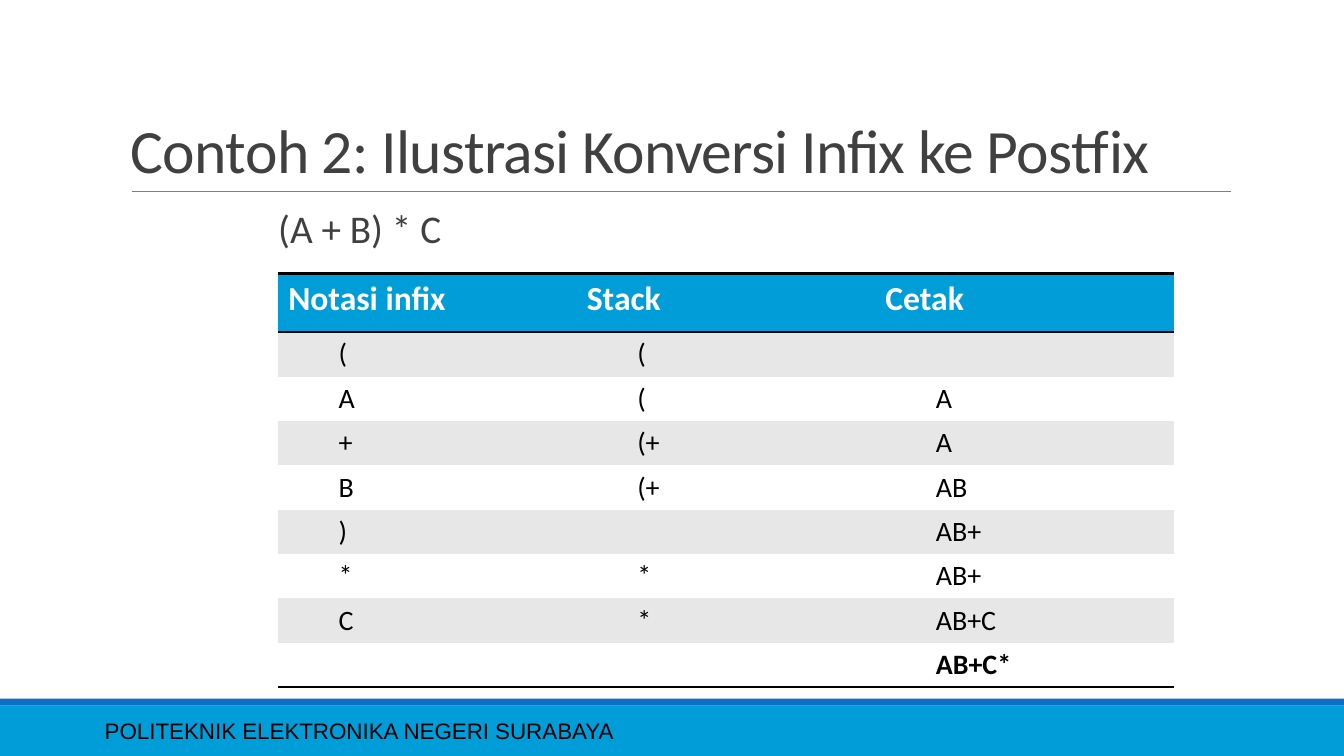
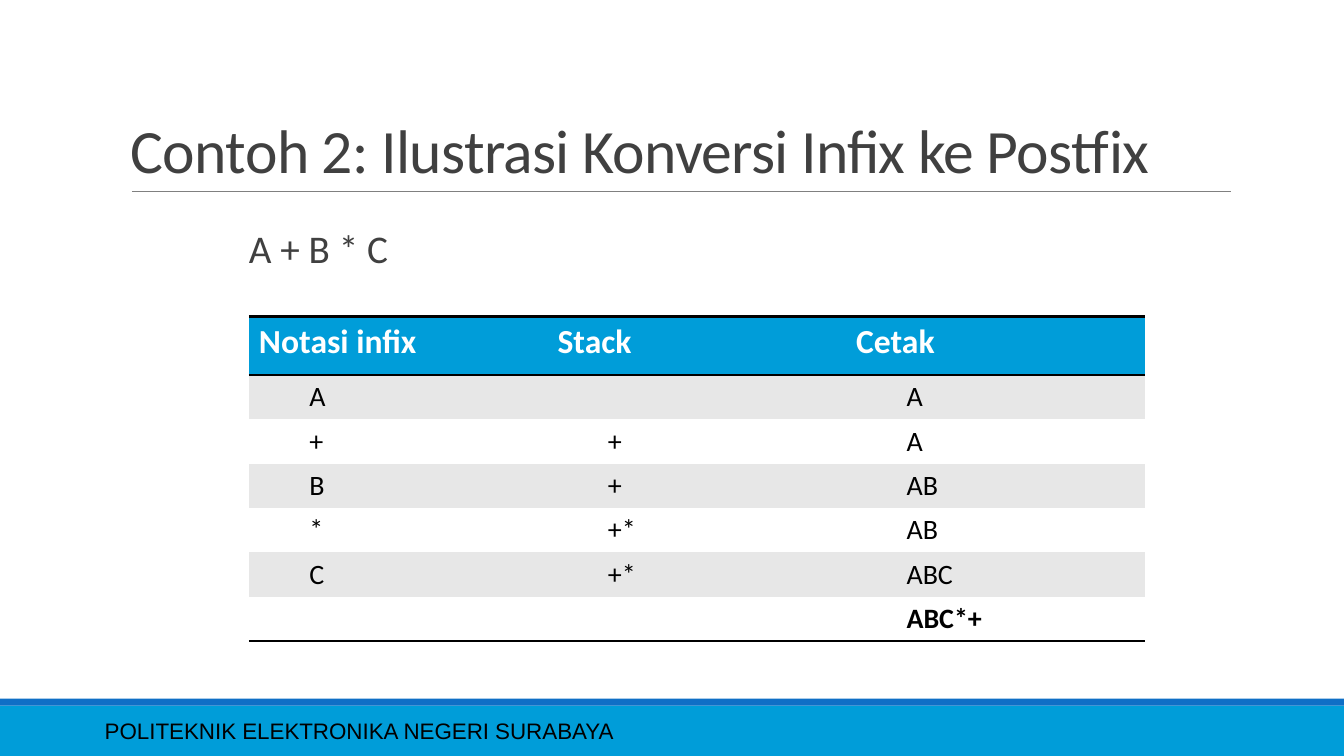
from lxml.etree import SubElement
from pptx import Presentation
from pptx.dml.color import RGBColor
from pptx.enum.shapes import MSO_CONNECTOR, MSO_SHAPE
from pptx.enum.text import MSO_ANCHOR
from pptx.oxml.ns import qn
from pptx.util import Pt

# Content
TITLE = "Contoh 2: Ilustrasi Konversi Infix ke Postfix"
FOOTER = "POLITEKNIK ELEKTRONIKA NEGERI SURABAYA"
HEADINGS = ("Notasi infix", "Stack", "Cetak")
EXAMPLES = [
    {
        "expression": "(A + B) * C",
        "left": 198.7, "expression_top": 149, "table_top": 195.5,
        "steps": [
            ("(", "(", ""),
            ("A", "(", "A"),
            ("+", "(+", "A"),
            ("B", "(+", "AB"),
            (")", "", "AB+"),
            ("*", "*", "AB+"),
            ("C", "*", "AB+C"),
            ("", "", "AB+C*"),
        ],
    },
    {
        "expression": "A + B * C",
        "left": 177.8, "expression_top": 163.4, "table_top": 226,
        "steps": [
            ("A", "", "A"),
            ("+", "+", "A"),
            ("B", "+", "AB"),
            ("*", "+*", "AB"),
            ("C", "+*", "ABC"),
            ("", "", "ABC*+"),
        ],
    },
]

# Shared style
WIDTH, HEIGHT = 960, 540
CYAN, BLUE, GRAY, DARK = "009DD9", "0F6FC6", "808080", "404040"
BLACK, WHITE, STRIPE = "000000", "FFFFFF", "E7E7E7"
BANDS = [(504, 36, CYAN), (499, 5, BLUE)]
COLUMN_WIDTH, HEADER_HEIGHT, STEP_HEIGHT = 213.3, 41.8, 31.7
CELL_MARGIN, STEP_INDENT = 7.2, 36
PLAIN_TABLE = "{2D5ABB26-0587-4C30-8999-92F81FD0307C}"


def color(value):
    return RGBColor.from_string(value)


def style_run(run, size, ink, font="Calibri", bold=False):
    run.font.size, run.font.name, run.font.bold = Pt(size), font, bold
    run.font.color.rgb = color(ink)


def add_text(slide, text, box, size, ink, font="Calibri", anchor=MSO_ANCHOR.TOP):
    frame = slide.shapes.add_textbox(*map(Pt, box)).text_frame
    frame.word_wrap = True
    frame.vertical_anchor = anchor
    frame.text = text
    style_run(frame.paragraphs[0].runs[0], size, ink, font)
    return frame


def add_frame(slide):
    # Bottom bands, title rule, footer and title
    for top, height, fill in BANDS:
        band = slide.shapes.add_shape(
            MSO_SHAPE.RECTANGLE, 0, Pt(top), Pt(WIDTH), Pt(height))
        band.shadow.inherit = False
        band.fill.solid()
        band.fill.fore_color.rgb = color(fill)
        band.line.fill.background()
    rule = slide.shapes.add_connector(
        MSO_CONNECTOR.STRAIGHT, Pt(94.3), Pt(136.8), Pt(879), Pt(136.8))
    rule.line.color.rgb = color(GRAY)
    rule.line.width = Pt(0.5)
    SubElement(rule._element.spPr, qn("a:effectLst"))
    add_text(slide, FOOTER, (67.7, 507.6, 605.5, 28.8), 16, BLACK, "Arial",
             MSO_ANCHOR.MIDDLE)
    title = add_text(slide, TITLE, (86.4, 22.3, 792, 114.5), 44, DARK,
                     anchor=MSO_ANCHOR.BOTTOM).paragraphs[0]
    title.line_spacing = 0.85
    title.runs[0].font._element.set("spc", "-50")


def add_border(cell, side):
    line = SubElement(cell._tc.get_or_add_tcPr(), qn(f"a:{side}"), w=str(Pt(2)))
    fill = SubElement(line, qn("a:solidFill"))
    SubElement(fill, qn("a:srgbClr"), val=BLACK)


def add_steps(slide, left, top, steps):
    rows = [HEADINGS, *steps]
    last = len(rows) - 1
    table_frame = slide.shapes.add_table(
        len(rows), len(HEADINGS), Pt(left), Pt(top),
        Pt(COLUMN_WIDTH * len(HEADINGS)), Pt(HEADER_HEIGHT + STEP_HEIGHT * last))
    table = table_frame.table
    table._tbl.tblPr.find(qn("a:tableStyleId")).text = PLAIN_TABLE
    for column in table.columns:
        column.width = Pt(COLUMN_WIDTH)
    for r, row in enumerate(rows):
        header = r == 0
        table.rows[r].height = Pt(HEADER_HEIGHT if header else STEP_HEIGHT)
        for c, text in enumerate(row):
            cell = table.cell(r, c)
            # Rules above and below the header, and below the result
            if header:
                add_border(cell, "lnT")
            if r in (0, last):
                add_border(cell, "lnB")
            cell.fill.solid()
            cell.fill.fore_color.rgb = color(
                CYAN if header else STRIPE if r % 2 else WHITE)
            cell.margin_left = Pt(CELL_MARGIN + (0 if header else STEP_INDENT))
            cell.text_frame.text = text
            for run in cell.text_frame.paragraphs[0].runs:
                style_run(run, 24 if header else 20, WHITE if header else BLACK,
                          bold=r in (0, last))


def add_example(slide, example):
    add_frame(slide)
    frame = add_text(slide, example["expression"],
                     (example["left"], example["expression_top"], 236, 36.7),
                     28, DARK)
    frame.margin_left = frame.margin_right = 0
    expression = frame.paragraphs[0]
    expression.line_spacing = 0.8
    expression.space_before, expression.space_after = Pt(12), Pt(2)
    add_steps(slide, example["left"], example["table_top"], example["steps"])


def main():
    deck = Presentation()
    deck.slide_width, deck.slide_height = Pt(WIDTH), Pt(HEIGHT)
    for example in EXAMPLES:
        add_example(deck.slides.add_slide(deck.slide_layouts[6]), example)
    deck.save("out.pptx")


if __name__ == "__main__":
    main()
